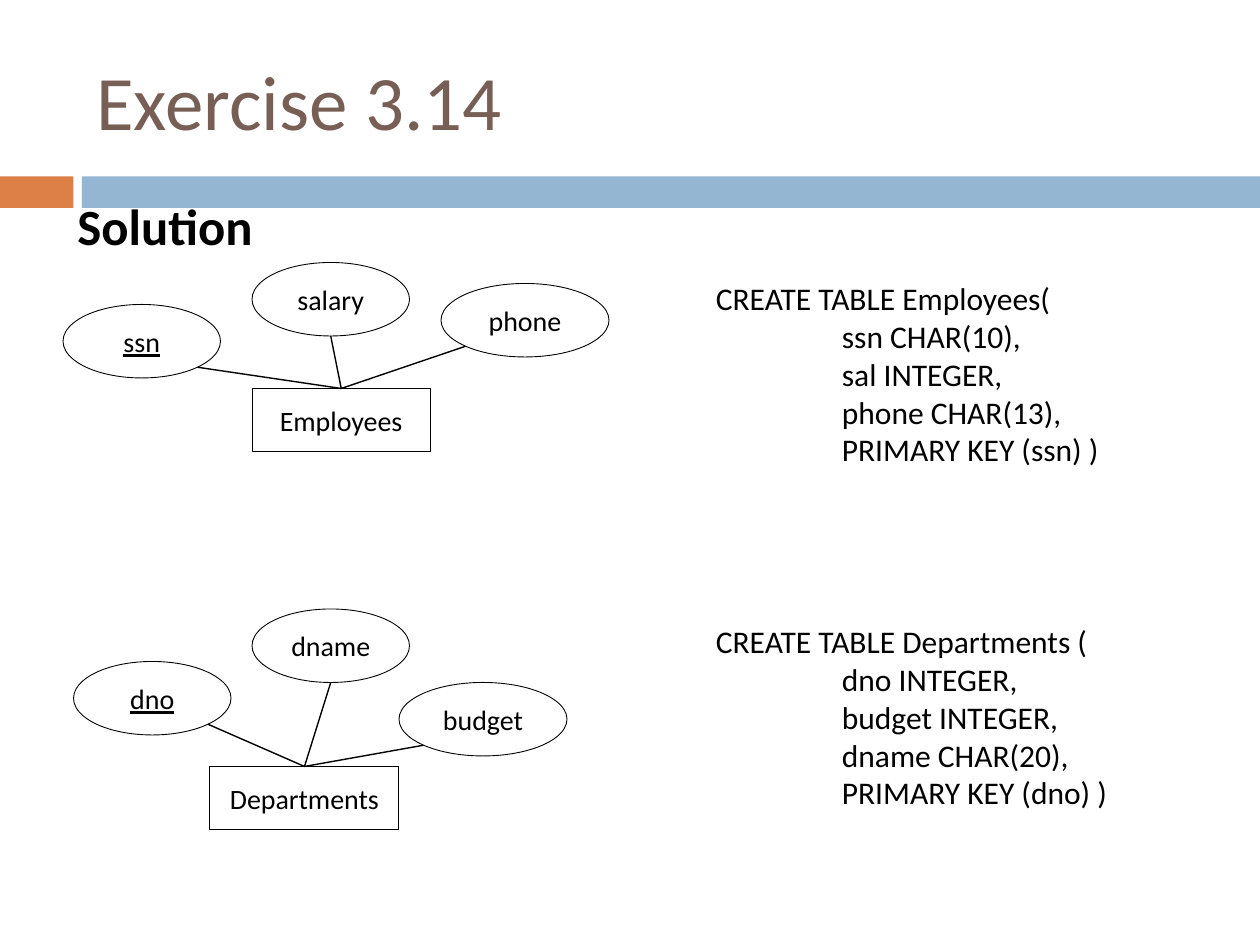
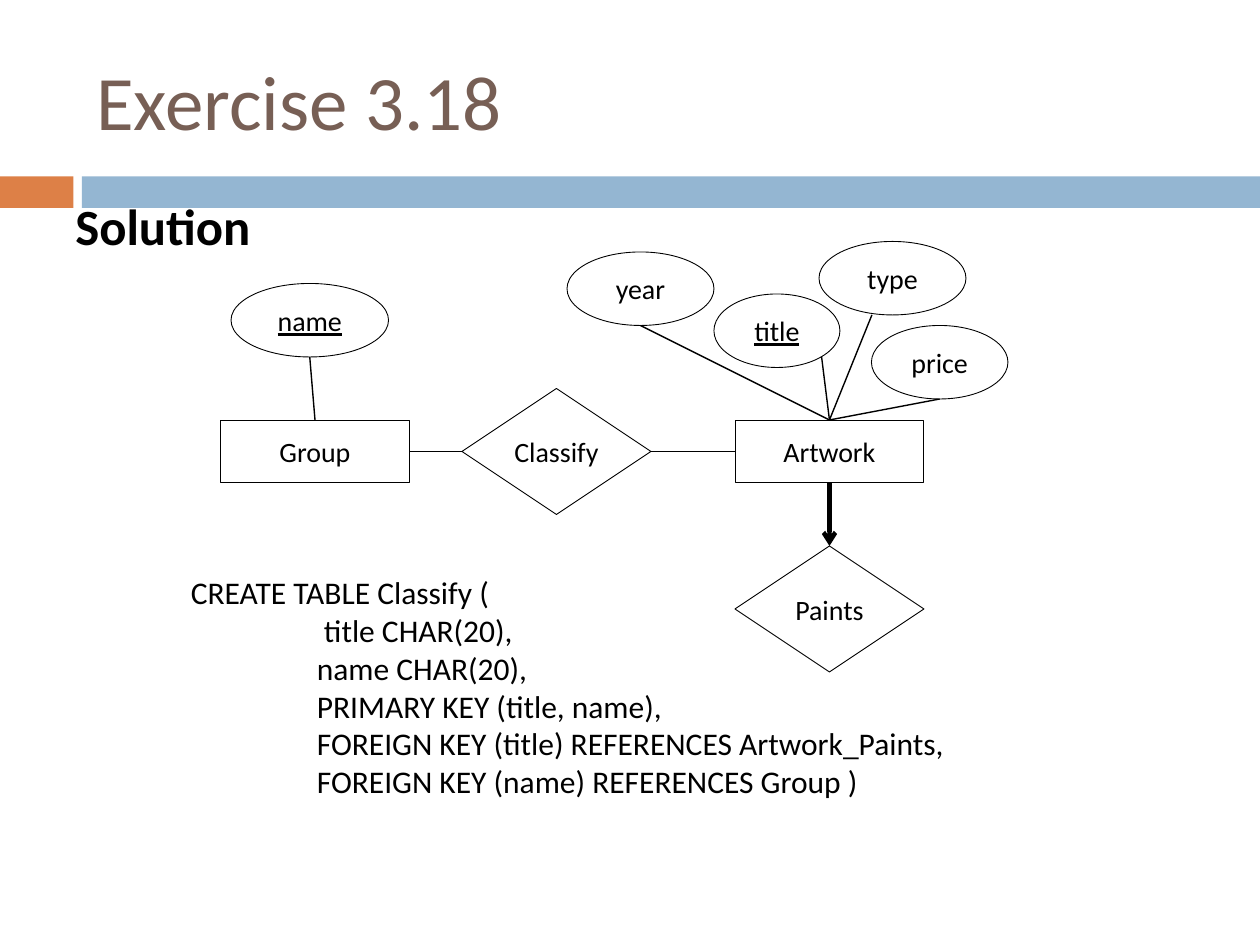
from lxml import etree
from pptx import Presentation
from pptx.dml.color import RGBColor
from pptx.enum.shapes import MSO_CONNECTOR, MSO_SHAPE
from pptx.enum.text import MSO_ANCHOR, PP_ALIGN
from pptx.oxml.ns import qn
from pptx.util import Inches, Pt

RECTANGLE, ELLIPSE, DIAMOND = MSO_SHAPE.RECTANGLE, MSO_SHAPE.OVAL, MSO_SHAPE.DIAMOND
STRAIGHT = MSO_CONNECTOR.STRAIGHT
CENTER, LEFT = PP_ALIGN.CENTER, PP_ALIGN.LEFT
MIDDLE, TOP_ANCHOR = MSO_ANCHOR.MIDDLE, MSO_ANCHOR.TOP
TOP, LEFT_SIDE, BOTTOM, RIGHT_SIDE = range(4)

COLUMNS_PER_INCH = 12
FONT = "Calibri"
INK, PAPER, BROWN, ORANGE, BLUE = "000000", "FFFFFF", "775F55", "DD8047", "94B6D2"
BANDS = [((0, 16.8, 7, 3), ORANGE), ((7.8, 16.8, 112.2, 3), BLUE)]
TITLE_BOX = (8, 3, 107, 13)
STATEMENT_GAP = 88

# Shares of an ellipse's width and height where a line leaves it
BOTTOM_MIDDLE, BOTTOM_LEFT, BOTTOM_RIGHT = (0.5, 1), (0.146, 0.854), (0.854, 0.854)

SLIDES = [
    {
        "title": "Exercise 3.14",
        "heading": ("Solution", (6.2, 18, 54, 67)),
        "entities": {"Departments": (20, 73, 18, 6), "Employees": (24, 37, 17, 6)},
        "relationships": {},
        "attributes": [
            ("phone", (42, 27, 16, 7), "Employees", BOTTOM_LEFT, False),
            ("ssn", (6, 29, 15, 7), "Employees", BOTTOM_RIGHT, True),
            ("salary", (24, 25, 15, 7), "Employees", BOTTOM_MIDDLE, False),
            ("budget", (38, 65, 16, 7), "Departments", BOTTOM_LEFT, False),
            ("dno", (7, 63, 15, 7), "Departments", BOTTOM_RIGHT, True),
            ("dname", (24, 58, 15, 7), "Departments", BOTTOM_MIDDLE, False),
        ],
        "links": [],
        "code_box": (67, 26, 44, 52),
        "statements": [
            ["CREATE TABLE Employees(", "ssn CHAR(10),", "sal INTEGER,",
             "phone CHAR(13),", "PRIMARY KEY (ssn) )"],
            ["CREATE TABLE Departments (", "dno INTEGER,", "budget INTEGER,",
             "dname CHAR(20),", "PRIMARY KEY (dno) )"],
        ],
    },
    {
        "title": "Exercise 3.18",
        "heading": ("Solution", (6, 18, 108, 67)),
        "entities": {"Artwork": (70, 40, 18, 6), "Group": (21, 40, 18, 6)},
        "relationships": {"Classify": (44, 37, 18, 12), "Paints": (70, 52, 18, 12)},
        "attributes": [
            ("name", (22, 27, 15, 7), "Group", BOTTOM_MIDDLE, True),
            ("title", (68, 28, 12, 7), "Artwork", BOTTOM_RIGHT, True),
            ("type", (78, 23, 14, 7), "Artwork", (0.36, 1), False),
            ("price", (83, 31, 13, 7), "Artwork", BOTTOM_MIDDLE, False),
            ("year", (54, 24, 14, 7), "Artwork", BOTTOM_MIDDLE, False),
        ],
        "links": [
            ("Classify", LEFT_SIDE, "Group", RIGHT_SIDE, False),
            ("Artwork", LEFT_SIDE, "Classify", RIGHT_SIDE, False),
            ("Artwork", BOTTOM, "Paints", TOP, True),
        ],
        "code_box": (17, 54, 75, 23),
        "statements": [
            ["CREATE TABLE Classify (", " title CHAR(20),", "name CHAR(20),",
             "PRIMARY KEY (title, name),",
             "FOREIGN KEY (title) REFERENCES Artwork_Paints,",
             "FOREIGN KEY (name) REFERENCES Group )"],
        ],
    },
]


def color(value):
    return RGBColor.from_string(value)


def grid(*cells):
    return [Inches(cell / COLUMNS_PER_INCH) for cell in cells]


def add_run(paragraph, text, size, ink=INK, bold=False, underline=False):
    run = paragraph.add_run()
    run.text = text
    font = run.font
    font.name, font.size, font.bold = FONT, Pt(size), bold
    font.underline = underline
    font.color.rgb = color(ink)


def add_text_box(slide, box, anchor=TOP_ANCHOR):
    frame = slide.shapes.add_textbox(*grid(*box)).text_frame
    frame.word_wrap = True
    frame.vertical_anchor = anchor
    return frame


def add_box(slide, kind, box, fill):
    shape = slide.shapes.add_shape(kind, *grid(*box))
    shape.shadow.inherit = False
    shape.fill.solid()
    shape.fill.fore_color.rgb = color(fill)
    shape.line.fill.background()
    return shape


def add_node(slide, kind, name, box, underline=False):
    shape = add_box(slide, kind, box, PAPER)
    shape.line.color.rgb = color(INK)
    shape.line.width = Pt(0.5)
    frame = shape.text_frame
    frame.vertical_anchor = MIDDLE
    if kind == DIAMOND:
        frame.word_wrap = False
        frame.margin_left = frame.margin_right = frame.margin_top = frame.margin_bottom = 0
    paragraph = frame.paragraphs[0]
    paragraph.alignment = CENTER
    add_run(paragraph, name, 16, underline=underline)
    return shape


def add_line(slide, start=(0, 0), width=0.79, arrow=False):
    x, y = grid(*start)
    line = slide.shapes.add_connector(STRAIGHT, x, y, x, y)
    line.line.color.rgb = color(INK)
    line.line.width = Pt(width)
    properties = line._element.spPr
    if arrow:
        etree.SubElement(properties.find(qn("a:ln")), qn("a:tailEnd"), type="arrow")
    etree.SubElement(properties, qn("a:effectLst"))
    return line


def add_frame(slide, title, heading):
    for box, fill in BANDS:
        add_box(slide, RECTANGLE, box, fill)
    add_run(add_text_box(slide, TITLE_BOX, MIDDLE).paragraphs[0], title, 44, BROWN)
    text, box = heading
    paragraph = add_text_box(slide, box).paragraphs[0]
    paragraph.space_before = Pt(7)
    add_run(paragraph, text, 29, bold=True)


def add_diagram(slide, content):
    nodes = {}
    for kind, group in ((RECTANGLE, "entities"), (DIAMOND, "relationships")):
        for name, box in content[group].items():
            nodes[name] = add_node(slide, kind, name, box)
    for name, box, owner, (across, down), is_key in content["attributes"]:
        add_node(slide, ELLIPSE, name, box, is_key)
        left, top, width, height = box
        line = add_line(slide, (left + across * width, top + down * height))
        line.end_connect(nodes[owner], TOP)
    for source, source_side, target, target_side, is_arrow in content["links"]:
        line = add_line(slide, width=2.5 if is_arrow else 0.79, arrow=is_arrow)
        line.begin_connect(nodes[source], source_side)
        line.end_connect(nodes[target], target_side)


def add_code(slide, box, statements):
    frame = add_text_box(slide, box)
    for number, statement in enumerate(statements):
        for row, text in enumerate(statement):
            is_first = number == row == 0
            paragraph = frame.paragraphs[0] if is_first else frame.add_paragraph()
            paragraph.alignment = LEFT
            if row:
                properties = paragraph._p.get_or_add_pPr()
                properties.set("marL", str(Inches(1)))
                properties.set("indent", "0")
            elif number:
                paragraph.space_before = Pt(STATEMENT_GAP)
            add_run(paragraph, text, 18)


def main():
    """Build the two exercise slides."""
    presentation = Presentation()
    presentation.slide_width, presentation.slide_height = Inches(10), Inches(7.5)
    for content in SLIDES:
        slide = presentation.slides.add_slide(presentation.slide_layouts[6])
        add_frame(slide, content["title"], content["heading"])
        add_diagram(slide, content)
        add_code(slide, content["code_box"], content["statements"])
    presentation.save("out.pptx")


if __name__ == "__main__":
    main()
